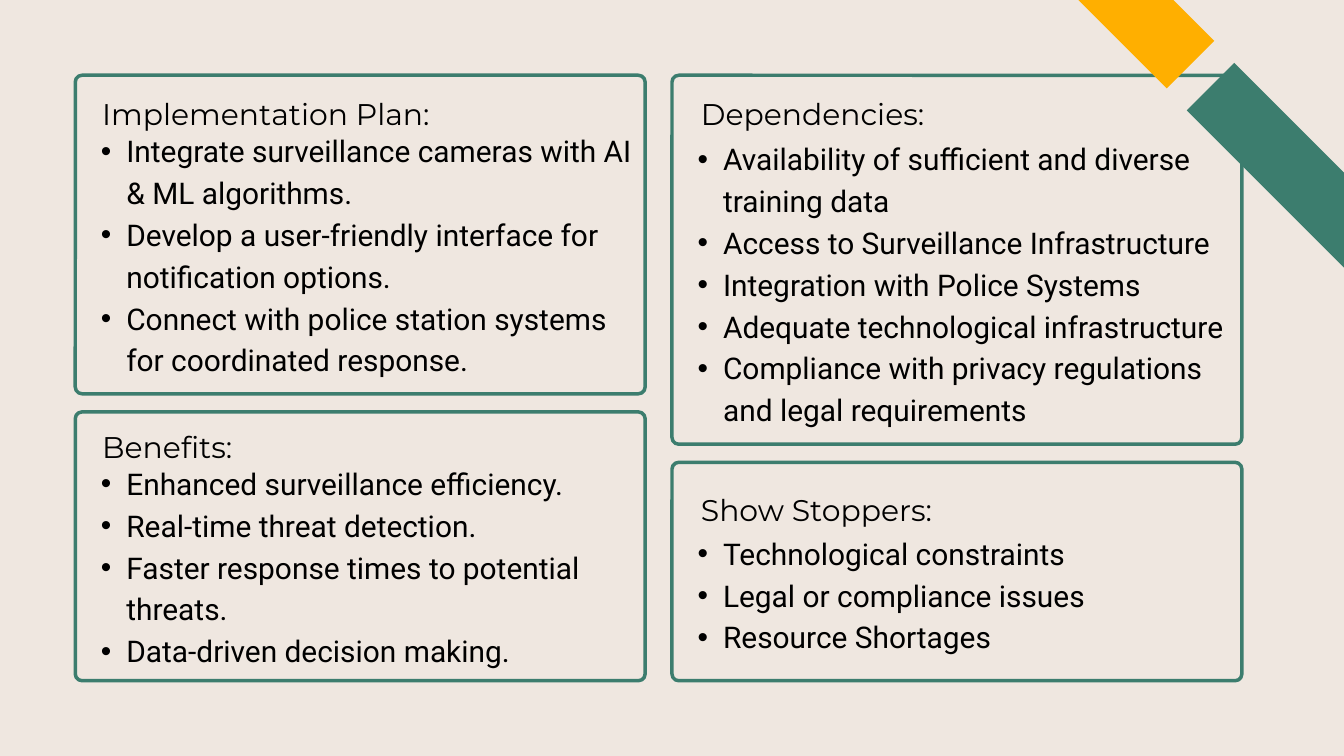
import dataclasses

import lxml.etree
import pptx
import pptx.dml.color
import pptx.enum.shapes
import pptx.enum.text
import pptx.oxml.ns
import pptx.util

Inches = pptx.util.Inches
Pt = pptx.util.Pt
Shape = pptx.enum.shapes.MSO_SHAPE

GREEN = "3C7D6E"
AMBER = "FFAF00"
BLACK = "000000"
CREAM = "EFE7E0"

WIDE = 8.48  # width of every card
RADIUS = 0.1
LEFT, RIGHT = 1.12, 10


@dataclasses.dataclass
class Card:
    left: float
    top: float
    high: float
    title: str
    title_left: float
    title_top: float
    list_top: float
    list_high: float
    items: list[str]


@dataclasses.dataclass
class Bar:
    left: float
    top: float
    color: str


CARDS = [
    Card(LEFT, 1.12, 4.74, "Implementation Plan:", 1.52, 1.34, 1.89, 3.68, [
        "Integrate surveillance cameras with AI & ML algorithms.",
        "Develop a user-friendly interface for notification options.",
        "Connect with police station systems for coordinated response.",
    ]),
    Card(LEFT, 6.13, 4, "Benefits:", 1.52, 6.29, 6.84, 3.07, [
        "Enhanced surveillance efficiency.",
        "Real-time threat detection.",
        "Faster response times to potential threats.",
        "Data-driven decision making.",
    ]),
    Card(RIGHT, 1.12, 5.49, "Dependencies:", 10.43, 1.34, 2.01, 4.3, [
        "Availability of sufficient and diverse training data",
        "Access to Surveillance Infrastructure",
        "Integration with Police Systems",
        "Adequate technological infrastructure",
        "Compliance with privacy regulations and legal requirements",
    ]),
    Card(RIGHT, 6.88, 3.25, "Show Stoppers:", 10.43, 7.22, 7.88, 1.84, [
        "Technological constraints",
        "Legal or compliance issues",
        "Resource Shortages",
    ]),
]

BARS = [Bar(17.35, 2.39, GREEN), Bar(13.85, -1.14, AMBER)]


def paint(target, color: str) -> None:
    """Give a fill one solid colour."""
    target.solid()
    target.fore_color.rgb = pptx.dml.color.RGBColor.from_string(color)


def add_bullet(para) -> None:
    """Indent a paragraph and put a round bullet before it."""
    para.level = 1
    props = para._p.get_or_add_pPr()
    props.set("marL", str(Inches(0.76)))
    props.set("indent", str(Inches(-0.38)))
    font = lxml.etree.SubElement(props, pptx.oxml.ns.qn("a:buFont"))
    font.set("typeface", "Arial")
    mark = lxml.etree.SubElement(props, pptx.oxml.ns.qn("a:buChar"))
    mark.set("char", "•")


def add_text(slide, left: float, top: float, width: float, high: float,
             lines: list[str], face: str, bullet: bool = False) -> None:
    """Write one paragraph per line in a box without margins."""
    box = slide.shapes.add_textbox(
        Inches(left), Inches(top), Inches(width), Inches(high))
    frame = box.text_frame
    frame.word_wrap = True
    frame.auto_size = pptx.enum.text.MSO_AUTO_SIZE.SHAPE_TO_FIT_TEXT
    frame.margin_left = frame.margin_right = 0
    frame.margin_top = frame.margin_bottom = 0
    for index, line in enumerate(lines):
        para = frame.add_paragraph() if index else frame.paragraphs[0]
        if bullet:
            add_bullet(para)
        para.line_spacing = Pt(44.8)
        run = para.add_run()
        run.text = line
        run.font.size = Pt(32)
        run.font.name = face
        paint(run.font.fill, BLACK)


def add_card(slide, card: Card) -> None:
    """Draw a rounded outline with its title and bullet list."""
    frame = slide.shapes.add_shape(
        Shape.ROUNDED_RECTANGLE, Inches(card.left), Inches(card.top),
        Inches(WIDE), Inches(card.high))
    frame.adjustments[0] = RADIUS / min(WIDE, card.high)
    frame.shadow.inherit = False
    frame.fill.background()
    paint(frame.line.fill, GREEN)
    frame.line.width = Pt(3.75)
    add_text(slide, card.left, card.list_top, WIDE, card.list_high,
             card.items, "Roboto", bullet=True)
    add_text(slide, card.title_left, card.title_top, 5.71, 0.59,
             [card.title], "Montserrat")


def add_bar(slide, bar: Bar) -> None:
    """Draw a slanted corner bar."""
    shape = slide.shapes.add_shape(
        Shape.RECTANGLE, Inches(bar.left), Inches(bar.top),
        Inches(4.53), Inches(1))
    shape.rotation = 225
    shape.shadow.inherit = False
    paint(shape.fill, bar.color)
    shape.line.fill.background()


def main() -> None:
    deck = pptx.Presentation()
    deck.slide_width = Inches(20)
    deck.slide_height = Inches(11.25)
    slide = deck.slides.add_slide(deck.slide_layouts[6])
    paint(slide.background.fill, CREAM)

    # Four cards in two columns
    for card in CARDS:
        add_card(slide, card)

    # Corner bars, over the cards
    for bar in BARS:
        add_bar(slide, bar)

    deck.save("out.pptx")


if __name__ == "__main__":
    main()
